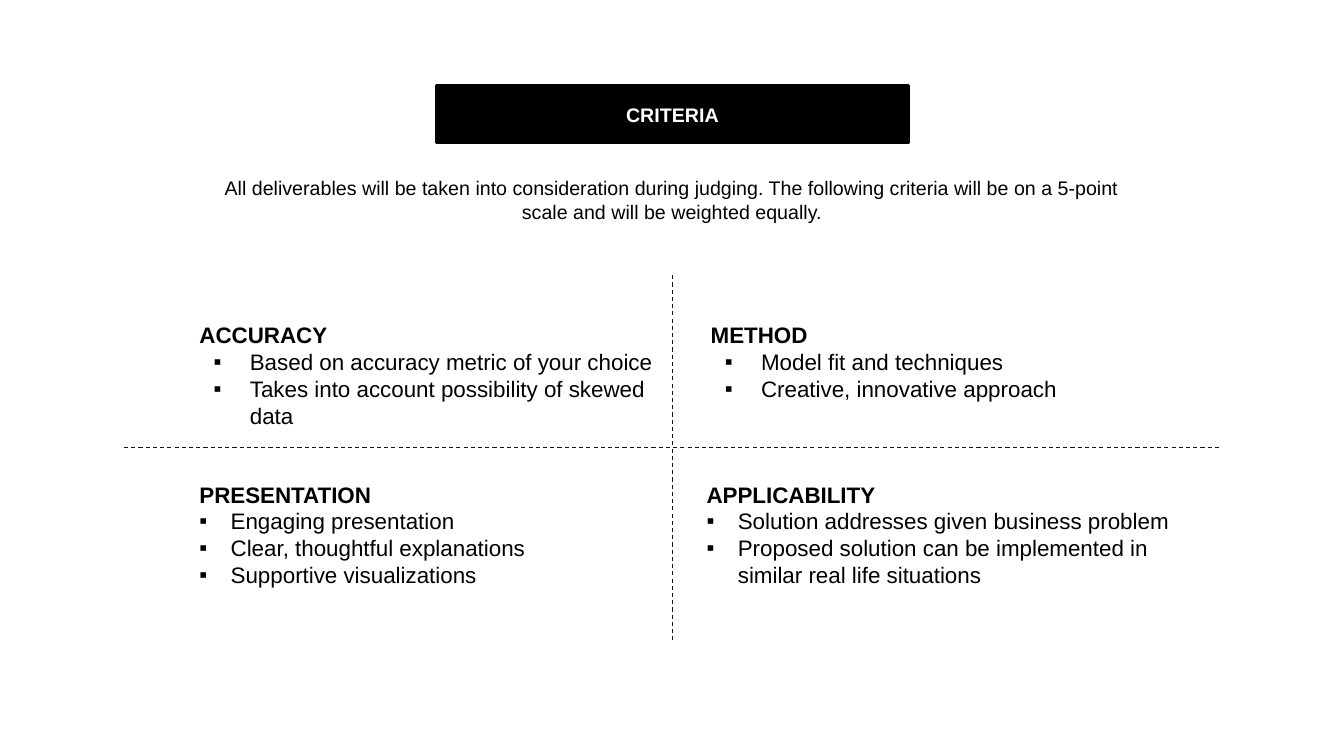
from lxml.etree import SubElement
from pptx import Presentation
from pptx.dml.color import RGBColor
from pptx.enum.dml import MSO_LINE
from pptx.enum.shapes import MSO_CONNECTOR, MSO_SHAPE
from pptx.enum.text import MSO_ANCHOR, PP_ALIGN
from pptx.oxml.ns import qn
from pptx.util import Inches, Pt

BLACK = "000000"
WHITE = "FFFFFF"
DIVIDER = "11151A"


def color(value):
    return RGBColor.from_string(value)


class CriteriaSlide:
    """Draws the elements of the criteria slide in one shared style."""

    font_name = "Arial"

    def __init__(self, slide):
        self.slide = slide

    def add_run(self, paragraph, text, size, text_color=BLACK, bold=False):
        run = paragraph.add_run()
        run.text = text
        run.font.name = self.font_name
        run.font.size = Pt(size)
        run.font.bold = bold
        run.font.color.rgb = color(text_color)

    def add_text_frame(self, left, top, width, height):
        box = self.slide.shapes.add_textbox(
            Inches(left), Inches(top), Inches(width), Inches(height))
        box.text_frame.word_wrap = True
        return box.text_frame

    def add_banner(self, left, top, width, height, text):
        shape = self.slide.shapes.add_shape(
            MSO_SHAPE.RECTANGLE,
            Inches(left), Inches(top), Inches(width), Inches(height))
        shape.shadow.inherit = False
        shape.fill.solid()
        shape.fill.fore_color.rgb = color(BLACK)
        shape.line.color.rgb = color(BLACK)
        shape.line.width = Pt(2)
        shape.text_frame.word_wrap = True
        shape.text_frame.vertical_anchor = MSO_ANCHOR.MIDDLE
        paragraph = shape.text_frame.paragraphs[0]
        paragraph.alignment = PP_ALIGN.CENTER
        self.add_run(paragraph, text, 14, WHITE, True)

    def add_introduction(self, left, top, width, height, text):
        paragraph = self.add_text_frame(left, top, width, height).paragraphs[0]
        paragraph.alignment = PP_ALIGN.CENTER
        self.add_run(paragraph, text, 14)

    def add_divider(self, start_x, start_y, end_x, end_y):
        line = self.slide.shapes.add_connector(
            MSO_CONNECTOR.STRAIGHT,
            Inches(start_x), Inches(start_y), Inches(end_x), Inches(end_y))
        line.line.color.rgb = color(DIVIDER)
        line.line.width = Pt(0.75)
        line.line.dash_style = MSO_LINE.DASH
        SubElement(line._element.spPr, qn("a:effectLst"))

    def add_bullet(self, paragraph, margin, hanging):
        properties = paragraph._p.get_or_add_pPr()
        properties.set("marL", str(Inches(margin)))
        properties.set("indent", str(-Inches(hanging)))
        bullet_color = SubElement(properties, qn("a:buClr"))
        SubElement(bullet_color, qn("a:srgbClr"), val=BLACK)
        SubElement(properties, qn("a:buFont"), typeface=self.font_name)
        SubElement(properties, qn("a:buChar"), char="▪")

    def add_criterion(self, position, indent, heading, points):
        frame = self.add_text_frame(*position)
        self.add_run(frame.paragraphs[0], heading, 16, bold=True)
        for point in points:
            paragraph = frame.add_paragraph()
            self.add_bullet(paragraph, *indent)
            self.add_run(paragraph, point, 16)


def main():
    presentation = Presentation()
    presentation.slide_width = Inches(13.33)
    presentation.slide_height = Inches(7.5)
    criteria = CriteriaSlide(
        presentation.slides.add_slide(presentation.slide_layouts[6]))

    criteria.add_banner(4.33, 0.85, 4.68, 0.57, "CRITERIA")
    criteria.add_introduction(
        1.98, 1.7, 9.37, 0.71,
        "All deliverables will be taken into consideration during judging. "
        "The following criteria will be on a 5-point scale and will be "
        "weighted equally.")
    criteria.add_divider(6.67, 2.73, 6.67, 6.35)
    criteria.add_divider(1.23, 4.44, 12.1, 4.44)

    upper_indent = (0.5, 0.36)
    lower_indent = (0.31, 0.31)
    quadrants = [
        ((1.88, 3.14, 4.78, 0.91), upper_indent, "ACCURACY",
         ["Based on accuracy metric of your choice",
          "Takes into account possibility of skewed data"]),
        ((6.95, 3.14, 4.92, 0.91), upper_indent, "METHOD",
         ["Model fit and techniques",
          "Creative, innovative approach"]),
        ((1.88, 4.72, 4.64, 1.45), lower_indent, "PRESENTATION",
         ["Engaging presentation",
          "Clear, thoughtful explanations",
          "Supportive visualizations"]),
        ((6.91, 4.72, 4.95, 1.18), lower_indent, "APPLICABILITY",
         ["Solution addresses given business problem",
          "Proposed solution can be implemented in similar real life "
          "situations"]),
    ]
    for quadrant in quadrants:
        criteria.add_criterion(*quadrant)

    presentation.save("out.pptx")


if __name__ == "__main__":
    main()
